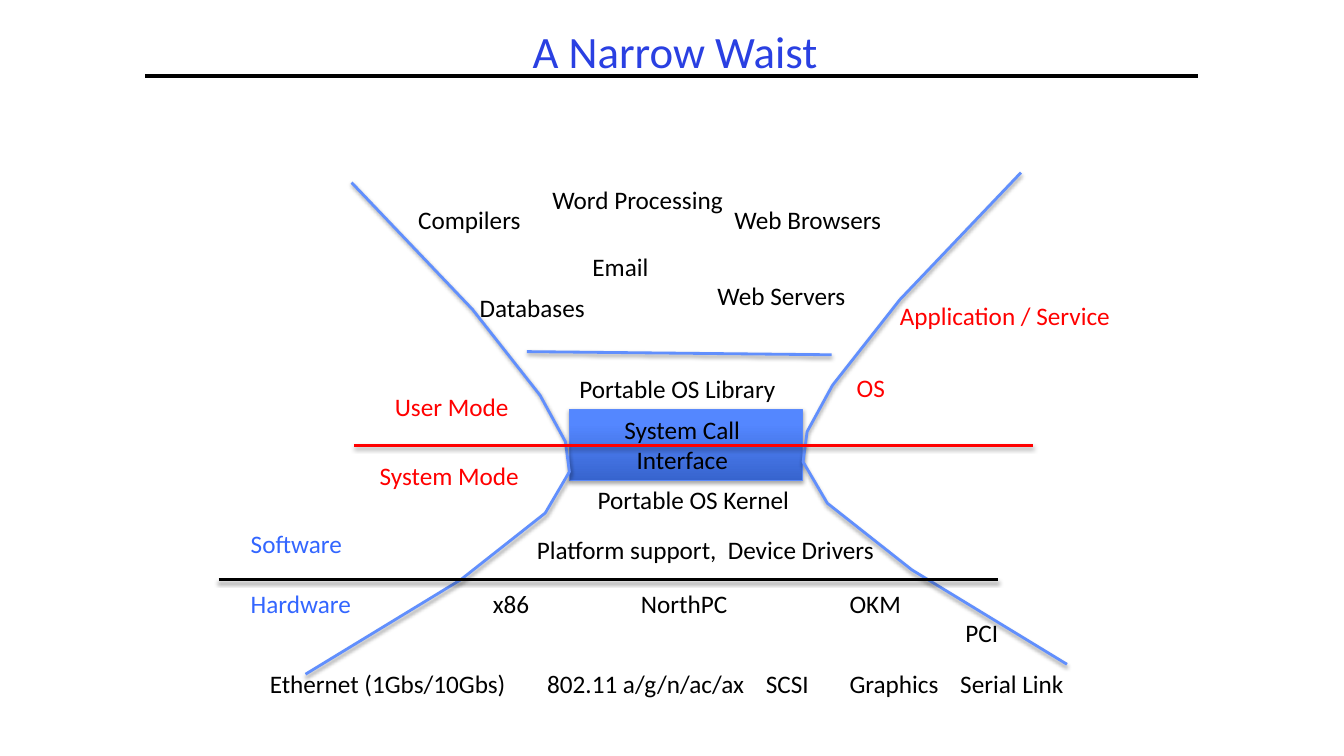
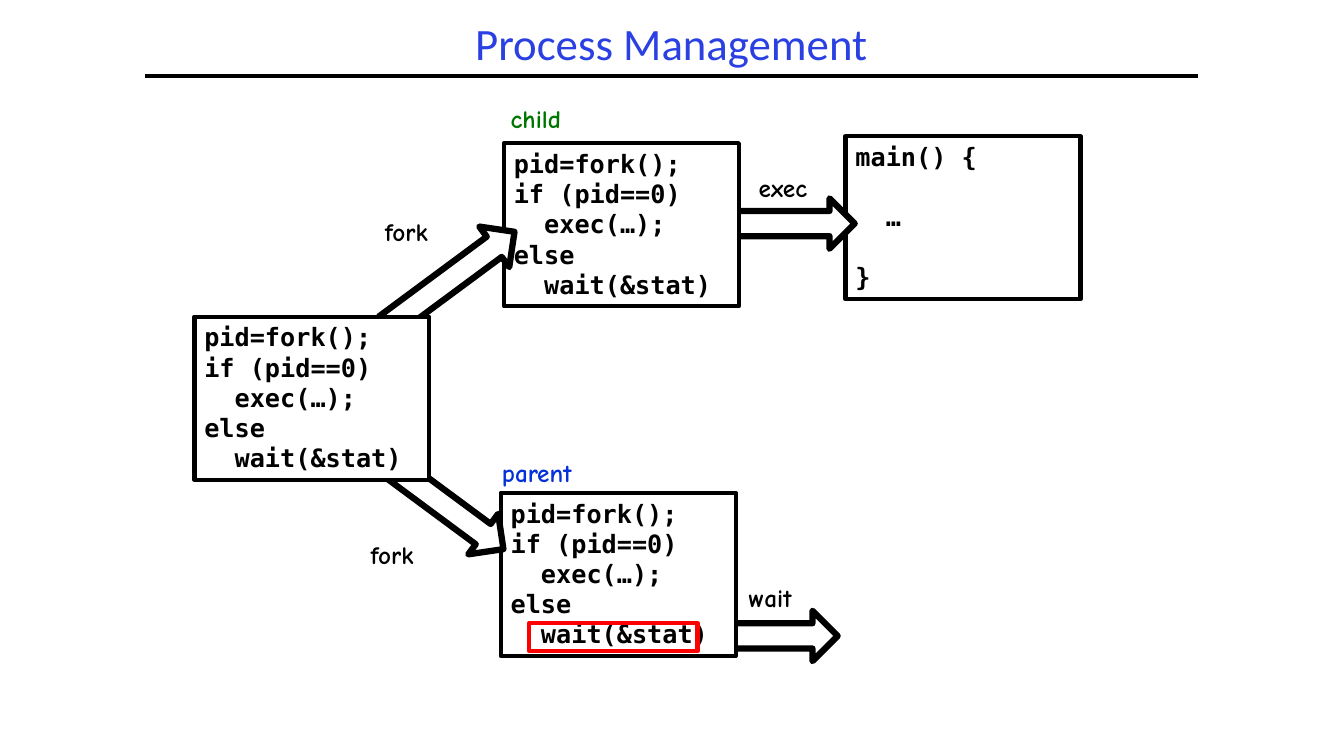
import dataclasses
import typing

import lxml.etree
import pptx
import pptx.dml.color
import pptx.enum.shapes
import pptx.enum.text
import pptx.oxml.ns
import pptx.util

Cm = pptx.util.Cm
Pt = pptx.util.Pt
RGB = pptx.dml.color.RGBColor
KIND = pptx.enum.shapes.MSO_SHAPE
ALIGN = pptx.enum.text.PP_ALIGN
ANCHOR = pptx.enum.text.MSO_ANCHOR

# Colours and fonts
BLACK = RGB(0x00, 0x00, 0x00)
WHITE = RGB(0xFF, 0xFF, 0xFF)
RED = RGB(0xFF, 0x00, 0x00)
GREEN = RGB(0x00, 0x76, 0x00)
NAVY = RGB(0x03, 0x30, 0xD8)
TITLE = RGB(0x2A, 0x40, 0xE2)
BLUE = RGB(0x33, 0x66, 0xFF)
CURVE = RGB(0x61, 0x8F, 0xFD)
EDGE = RGB(0x5B, 0x8A, 0xFB)
DARK = RGB(0x37, 0x64, 0xCE)
LIGHT = RGB(0x54, 0x87, 0xFF)
SANS = "Calibri"
COMIC = "Comic Neue"
MONO = "DejaVu Sans Mono"

CODE = "pid=fork();\nif (pid==0)\n  exec(…);\nelse\n  wait(&stat)"


# Repeated elements, all lengths in centimetres
@dataclasses.dataclass(frozen=True)
class Label:
    text: str
    left: float
    top: float
    width: float
    color: RGB = BLACK
    height: float = 1.02
    align: typing.Any = ALIGN.LEFT


@dataclasses.dataclass(frozen=True)
class Rule:
    x1: float
    y1: float
    x2: float
    y2: float
    color: RGB


@dataclasses.dataclass(frozen=True)
class Block:
    text: str
    left: float
    top: float
    gap: float = 0


@dataclasses.dataclass(frozen=True)
class Arrow:
    left: float
    top: float
    width: float = 2.97
    turn: float = 0


LAYERS = [
    Label("Compilers", 10.29, 5.03, 3.4),
    Label("Word Processing", 13.67, 4.52, 5.38),
    Label("Web Browsers", 18.26, 5.03, 4.67),
    Label("Email", 14.68, 6.2, 2.11),
    Label("Databases", 11.84, 7.24, 3.58),
    Label("Web Servers", 17.83, 6.93, 4.22),
    Label("Portable OS Library", 14.35, 9.27, 6.15),
    Label("System Call\nInterface", 15.14, 10.31, 4.11,
          height=1.8, align=ALIGN.CENTER),
    Label("Portable OS Kernel", 14.81, 12.09, 6.05),
    Label("Platform support,  Device Drivers", 13.28, 13.34, 9.91),
    Label("x86", 12.17, 14.71, 1.55),
    Label("NorthPC", 15.9, 14.71, 3.23),
    Label("OKM", 21.16, 14.71, 1.93),
    Label("PCI", 24.08, 15.42, 1.57),
    Label("Ethernet (1Gbs/10Gbs)", 6.55, 16.71, 7.14),
    Label("802.11 a/g/n/ac/ax", 13.54, 16.71, 5.74),
    Label("SCSI", 19.05, 16.71, 2.01),
    Label("Graphics", 21.16, 16.71, 3.07),
    Label("Serial Link", 23.95, 16.71, 3.94),
]
SIDES = [
    Label("Software", 6.07, 13.18, 3.05, BLUE),
    Label("Hardware", 6.07, 14.71, 3.3, BLUE),
    Label("User Mode", 9.7, 9.73, 3.66, RED),
    Label("System Mode", 9.32, 11.48, 4.42, RED),
    Label("OS", 21.34, 9.25, 1.45, RED),
    Label("Application / Service", 22.43, 7.44, 6.32, RED),
]
RULES = [
    Rule(13.28, 8.86, 20.96, 8.94, CURVE),
    Rule(5.51, 14.61, 25.15, 14.61, BLACK),
    Rule(8.92, 11.23, 26.04, 11.23, RED),
]
WAIST = [(8.86, 4.6), (11.91, 7.8), (13.61, 9.96), (14.25, 11.13),
         (14.35, 11.89), (13.74, 12.93), (11.61, 14.61), (7.7, 16.99)]
MIRROR = 34.59  # sum of the left and right x
LIFT = 0.25  # the right side sits higher

STEPS = [
    Label("child", 12.62, 2.49, 2.01, GREEN),
    Label("parent", 12.4, 11.4, 2.51, NAVY),
    Label("fork", 9.45, 5.33, 1.83),
    Label("fork", 9.09, 13.46, 1.83),
    Label("wait", 18.62, 14.55, 1.8),
    Label("exec", 18.87, 4.22, 1.93),
]


def shade(shape: typing.Any, alpha: int = 0) -> None:
    """Replace the theme shadow: none, or a soft one below."""
    tag = pptx.oxml.ns.qn
    props = shape._element.spPr
    for old in props.findall(tag("a:effectLst")):
        props.remove(old)
    group = lxml.etree.SubElement(props, tag("a:effectLst"))
    if alpha:
        drop = lxml.etree.SubElement(
            group, tag("a:outerShdw"), blurRad=str(Pt(3.1)),
            dist=str(Pt(1.6)), dir="5400000", rotWithShape="0")
        color = lxml.etree.SubElement(drop, tag("a:srgbClr"), val=str(BLACK))
        lxml.etree.SubElement(color, tag("a:alpha"), val=str(alpha * 1000))


def style(frame: typing.Any, text: str, font: str, color: RGB,
          size: float = 18, bold: bool = False,
          align: typing.Any = ALIGN.LEFT) -> None:
    frame.text = text
    for para in frame.paragraphs:
        para.alignment = align
        for run in para.runs:
            run.font.name = font
            run.font.size = Pt(size)
            run.font.bold = bold
            run.font.color.rgb = color


def stroke(slide: typing.Any, rule: Rule, width: float, alpha: int = 0) -> None:
    line = slide.shapes.add_connector(
        pptx.enum.shapes.MSO_CONNECTOR.STRAIGHT,
        Cm(rule.x1), Cm(rule.y1), Cm(rule.x2), Cm(rule.y2))
    line.line.color.rgb = rule.color
    line.line.width = Pt(width)
    shade(line, alpha)


def begin(deck: typing.Any, text: str, left: float, top: float,
          width: float, height: float) -> typing.Any:
    """Add a slide with the shared rule and title."""
    slide = deck.slides.add_slide(deck.slide_layouts[6])
    stroke(slide, Rule(3.66, 1.91, 30.2, 1.91, BLACK), 3)
    box = slide.shapes.add_textbox(Cm(left), Cm(top), Cm(width), Cm(height))
    frame = box.text_frame
    frame.word_wrap = True
    frame.vertical_anchor = ANCHOR.MIDDLE
    style(frame, text, SANS, TITLE, 32, align=ALIGN.CENTER)
    frame.paragraphs[0].line_spacing = 0.9
    return slide


def write(slide: typing.Any, label: Label, font: str = SANS,
          bold: bool = False) -> None:
    box = slide.shapes.add_textbox(
        Cm(label.left), Cm(label.top), Cm(label.width), Cm(label.height))
    frame = box.text_frame
    frame.word_wrap = False
    frame.auto_size = pptx.enum.text.MSO_AUTO_SIZE.SHAPE_TO_FIT_TEXT
    style(frame, label.text, font, label.color, bold=bold, align=label.align)


def curve(slide: typing.Any, points: list[tuple[float, float]]) -> None:
    spots = [(Cm(x), Cm(y)) for x, y in points]
    path = slide.shapes.build_freeform(*spots[0])
    path.add_line_segments(spots[1:], close=False)
    side = path.convert_to_shape()
    side.fill.background()
    side.line.color.rgb = CURVE
    side.line.width = Pt(2)
    shade(side, 38)


def panel(slide: typing.Any, kind: typing.Any, left: float, top: float,
          width: float, height: float, color: RGB, weight: float) -> typing.Any:
    shape = slide.shapes.add_shape(
        kind, Cm(left), Cm(top), Cm(width), Cm(height))
    shape.shadow.inherit = False
    shape.fill.solid()
    shape.fill.fore_color.rgb = WHITE
    shape.line.color.rgb = color
    shape.line.width = Pt(weight)
    return shape


def block(slide: typing.Any, item: Block) -> None:
    shape = panel(slide, KIND.RECTANGLE, item.left, item.top,
                  5.92, 4.11, BLACK, 3)
    frame = shape.text_frame
    frame.vertical_anchor = ANCHOR.TOP
    style(frame, item.text, MONO, BLACK, bold=True)
    for para in frame.paragraphs[1:]:
        para.space_before = Pt(item.gap)


def arrow(slide: typing.Any, item: Arrow) -> None:
    shape = panel(slide, KIND.RIGHT_ARROW, item.left, item.top,
                  item.width, 1.27, BLACK, 4.5)
    shape.rotation = item.turn


def waist(deck: typing.Any) -> None:
    slide = begin(deck, "A Narrow Waist", 6.07, 0.2, 21.89, 2.34)
    # System call bar
    bar = panel(slide, KIND.RECTANGLE, 14.35, 10.31, 5.87, 1.8, EDGE, 0.75)
    bar.fill.gradient()
    bar.fill.gradient_angle = 90
    for stop, (place, color) in zip(bar.fill.gradient_stops,
                                    [(0, DARK), (0.8, LIGHT)]):
        stop.position = place
        stop.color.rgb = color
    shade(bar, 35)
    # Layers inside the hourglass
    for label in LAYERS:
        write(slide, label)
    curve(slide, WAIST)
    curve(slide, [(MIRROR - x, y - LIFT) for x, y in WAIST])
    # Borders and their names
    for rule in RULES:
        stroke(slide, rule, 2, 38)
    for label in SIDES:
        write(slide, label)


def process(deck: typing.Any) -> None:
    slide = begin(deck, "Process Management", 3.66, 0.43, 26.52, 1.47)
    # Arrows that leave from behind the code
    arrow(slide, Arrow(18.14, 15.39))
    block(slide, Block("main() {\n  …\n}", 21.31, 3.43, 21.5))
    arrow(slide, Arrow(18.57, 5))
    # Parent, with its wait call framed, and child
    block(slide, Block(CODE, 12.62, 12.42))
    frame = panel(slide, KIND.RECTANGLE, 13.34, 15.7, 4.24, 0.71, RED, 3)
    frame.fill.background()
    block(slide, Block(CODE, 12.7, 3.61))
    # Forks from the first process
    arrow(slide, Arrow(9.35, 6.4, 4.01, -36.5))
    arrow(slide, Arrow(9.07, 12.01, 4.01, 36.5))
    block(slide, Block(CODE, 4.9, 7.98))
    for label in STEPS:
        write(slide, label, COMIC, True)


def main() -> None:
    deck = pptx.Presentation()
    deck.slide_width = Cm(33.87)
    deck.slide_height = Cm(19.05)
    waist(deck)
    process(deck)
    deck.save("out.pptx")


if __name__ == "__main__":
    main()
